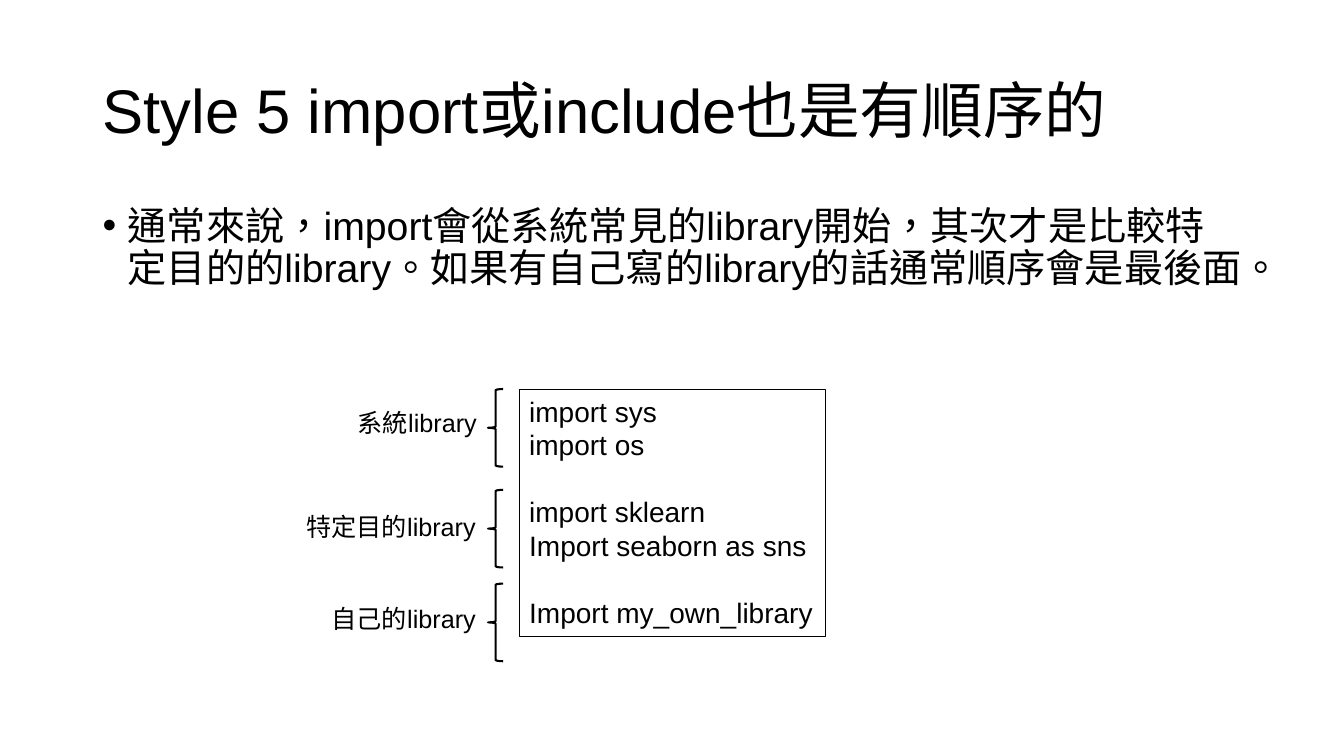
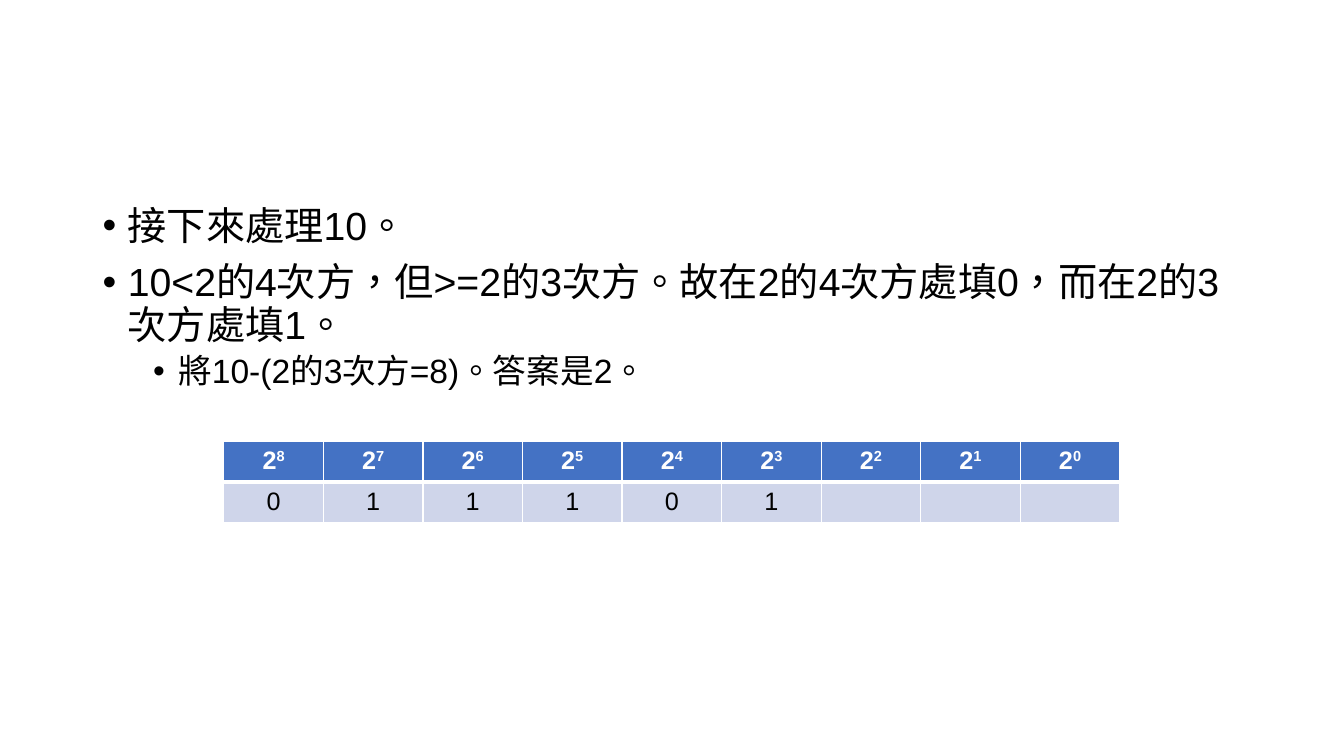
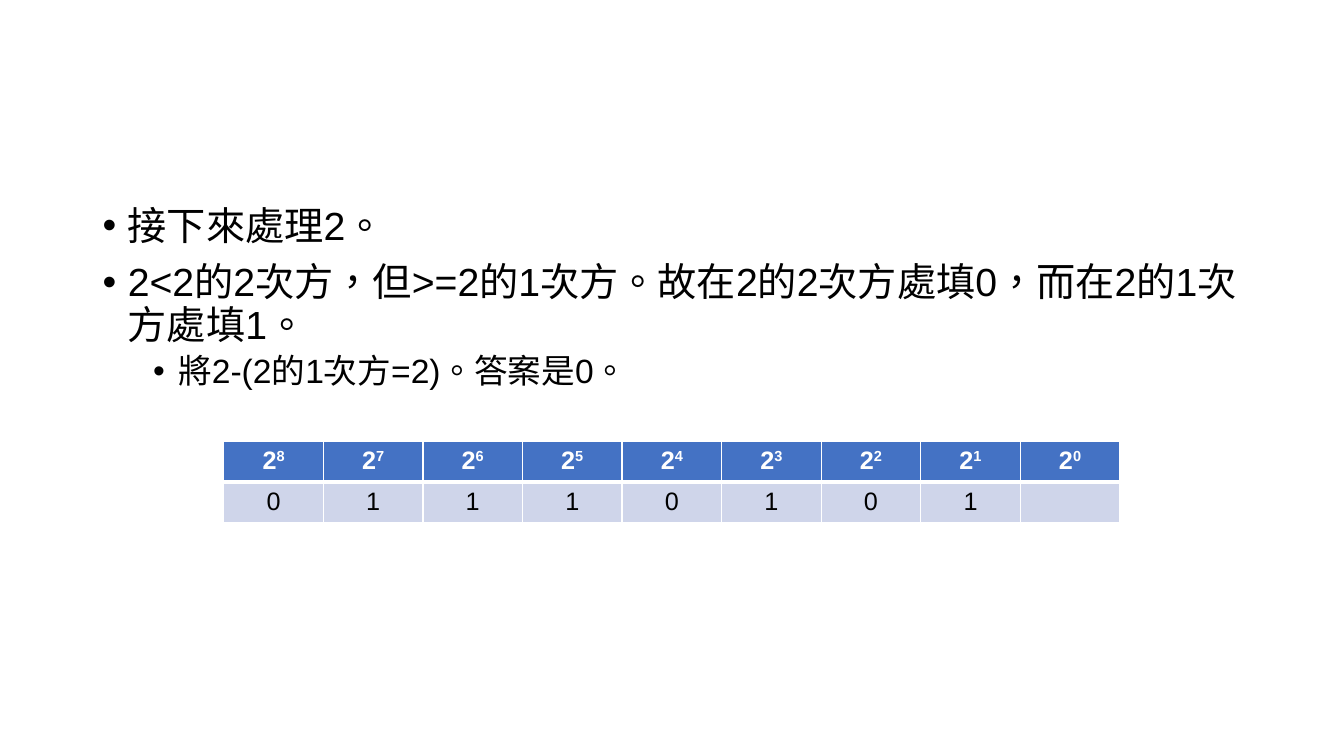
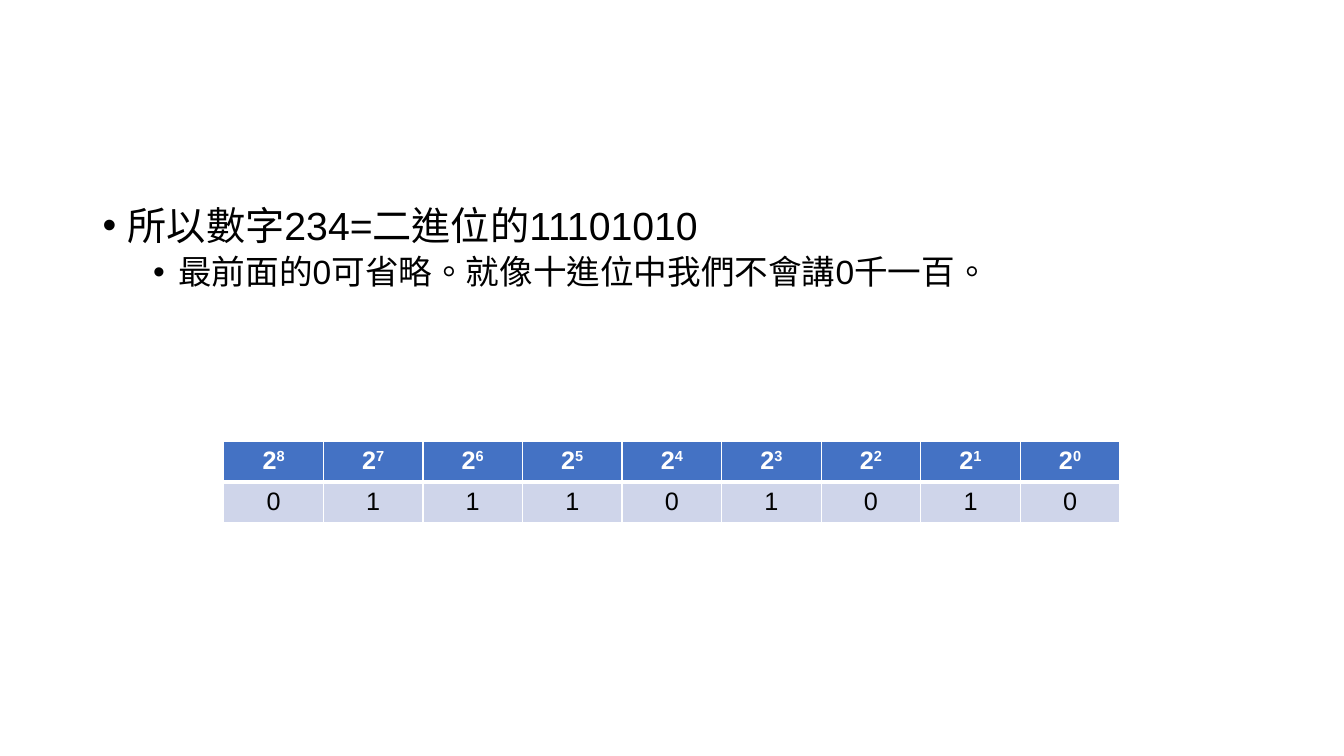
from dataclasses import dataclass

from lxml.etree import SubElement
from pptx import Presentation
from pptx.dml.color import RGBColor
from pptx.enum.lang import MSO_LANGUAGE_ID as Language
from pptx.enum.shapes import MSO_SHAPE as Shape
from pptx.enum.text import MSO_ANCHOR as Anchor, PP_ALIGN as Align
from pptx.oxml.ns import qn
from pptx.util import Emu, Pt

EMU_PER_PX = 9144  # 100 px to the inch


def px(length):
    return Emu(length * EMU_PER_PX)


@dataclass(frozen=True)
class Theme:
    font: str = "Arial"
    ink: str = "000000"
    paper: str = "FFFFFF"
    header: str = "4472C4"
    band: str = "CFD5EA"
    title_size: int = 44
    body_sizes: tuple = (28, 24)
    body_gaps: tuple = (10, 5)
    body_indents: tuple = (25, 75)
    hanging: int = 25
    body_spacing: float = 0.9
    code_size: int = 20
    code_pitch: int = 24
    small_size: int = 18
    title_area: tuple = (92, 40, 1150, 145)
    body_area: tuple = (92, 200, 1150, 476)
    table_area: tuple = (222, 438, 889, 81)


class DeckBuilder:
    def __init__(self, theme):
        self.theme = theme
        self.deck = Presentation()
        self.deck.slide_width, self.deck.slide_height = px(1333), px(750)
        self.slide = None

    def new_slide(self):
        self.slide = self.deck.slides.add_slide(self.deck.slide_layouts[6])
        fill = self.slide.background.fill
        fill.solid()
        fill.fore_color.rgb = RGBColor.from_string(self.theme.paper)

    def span(self, para, text, size, color=None, bold=False):
        span = para.add_run()
        span.text = text
        font = span.font
        font.name, font.size, font.bold = self.theme.font, Pt(size), bold
        font.color.rgb = RGBColor.from_string(color or self.theme.ink)
        font.language_id = Language.TRADITIONAL_CHINESE
        return span

    def text_frame(self, area):
        frame = self.slide.shapes.add_textbox(*map(px, area)).text_frame
        frame.word_wrap = True
        return frame

    def title(self, text):
        frame = self.text_frame(self.theme.title_area)
        frame.vertical_anchor = Anchor.MIDDLE
        para = frame.paragraphs[0]
        para.line_spacing = self.theme.body_spacing
        self.span(para, text, self.theme.title_size)

    def bullets(self, items):
        """Each item is a (level, text) pair."""
        theme = self.theme
        frame = self.text_frame(theme.body_area)
        for index, (level, text) in enumerate(items):
            para = frame.add_paragraph() if index else frame.paragraphs[0]
            para.level = level
            para.line_spacing = theme.body_spacing
            para.space_before = Pt(theme.body_gaps[level])
            props = para._p.get_or_add_pPr()
            props.set("marL", str(px(theme.body_indents[level])))
            props.set("indent", str(-px(theme.hanging)))
            SubElement(props, qn("a:buFont")).set("typeface", theme.font)
            SubElement(props, qn("a:buChar")).set("char", "•")
            self.span(para, text, theme.body_sizes[level])

    def label(self, area, text):
        para = self.text_frame(area).paragraphs[0]
        self.span(para, text, self.theme.small_size)

    def outline(self, kind, area, weight):
        box = self.slide.shapes.add_shape(kind, *map(px, area))
        box.shadow.inherit = False
        box.fill.background()
        box.line.color.rgb = RGBColor.from_string(self.theme.ink)
        box.line.width = Pt(weight)
        return box

    def code(self, area, groups):
        """Groups of lines, one line apart."""
        frame = self.outline(Shape.RECTANGLE, area, 0.75).text_frame
        frame.word_wrap = False
        frame.vertical_anchor = Anchor.TOP
        lines = [(line, group > 0 and row == 0)
                 for group, block in enumerate(groups)
                 for row, line in enumerate(block)]
        for index, (line, gap) in enumerate(lines):
            para = frame.add_paragraph() if index else frame.paragraphs[0]
            para.alignment = Align.LEFT
            para.line_spacing = Pt(self.theme.code_pitch)
            para.space_before = Pt(self.theme.code_pitch if gap else 0)
            self.span(para, line, self.theme.code_size)

    def cell(self, cell, fill, bottom):
        """Fills and borders a cell, and returns its centred paragraph."""
        props = cell._tc.get_or_add_tcPr()
        for side, weight in zip("LRTB", (1, 1, 1, bottom)):
            border = SubElement(props, qn(f"a:ln{side}"), w=str(Pt(weight)))
            solid = SubElement(border, qn("a:solidFill"))
            SubElement(solid, qn("a:srgbClr")).set("val", self.theme.paper)
        cell.fill.solid()
        cell.fill.fore_color.rgb = RGBColor.from_string(fill)
        para = cell.text_frame.paragraphs[0]
        para.alignment = Align.CENTER
        return para

    def powers_table(self, digits, columns=9):
        """Powers of two above the binary digits found so far."""
        theme = self.theme
        table = self.slide.shapes.add_table(
            2, columns, *map(px, theme.table_area)).table
        table.horz_banding = False
        for column, digit in enumerate(digits.ljust(columns)):
            power = str(columns - 1 - column)
            para = self.cell(table.cell(0, column), theme.header, 3)
            self.span(para, "2", theme.small_size, theme.paper, True)
            raised = self.span(para, power, theme.small_size, theme.paper, True)
            raised.font._element.set("baseline", "30000")
            para = self.cell(table.cell(1, column), theme.band, 1)
            para.font.size = Pt(theme.small_size)
            if digit.strip():
                self.span(para, digit, theme.small_size)


def main():
    builder = DeckBuilder(Theme())

    # Import order
    builder.new_slide()
    builder.title("Style 5 import或include也是有順序的")
    builder.bullets([(0, "通常來說，import會從系統常見的library開始，其次才是比較特定目的的library。"
                         "如果有自己寫的library的話通常順序會是最後面。")])
    builder.code((515, 386, 304, 246), [
        ["import sys", "import os"],
        ["import sklearn", "Import seaborn as sns"],
        ["Import my_own_library"],
    ])
    brace_left = 484
    for brace_top, label_top, width, text in (
            (386, 399, 139, "系統library"),
            (486, 502, 190, "特定目的library"),
            (579, 594, 165, "自己的library")):
        builder.outline(Shape.LEFT_BRACE, (brace_left, brace_top, 15, 77), 1.5)
        builder.label((brace_left - width, label_top, width, 40), text)

    # Binary conversion steps: remainder, power, rest, digits so far
    for number, power, rest, digits in ((10, 3, 2, "011101"),
                                        (2, 1, 0, "01110101")):
        builder.new_slide()
        builder.powers_table(digits)
        builder.bullets([
            (0, f"接下來處理{number}。"),
            (0, f"{number}<2的{power + 1}次方，但>=2的{power}次方。"
                f"故在2的{power + 1}次方處填0，而在2的{power}次方處填1。"),
            (1, f"將{number}-(2的{power}次方={2 ** power})。答案是{rest}。"),
        ])

    # Result
    builder.new_slide()
    builder.bullets([(0, "所以數字234=二進位的11101010"),
                     (1, "最前面的0可省略。就像十進位中我們不會講0千一百。")])
    builder.powers_table("011101010")

    builder.deck.save("out.pptx")


if __name__ == "__main__":
    main()
